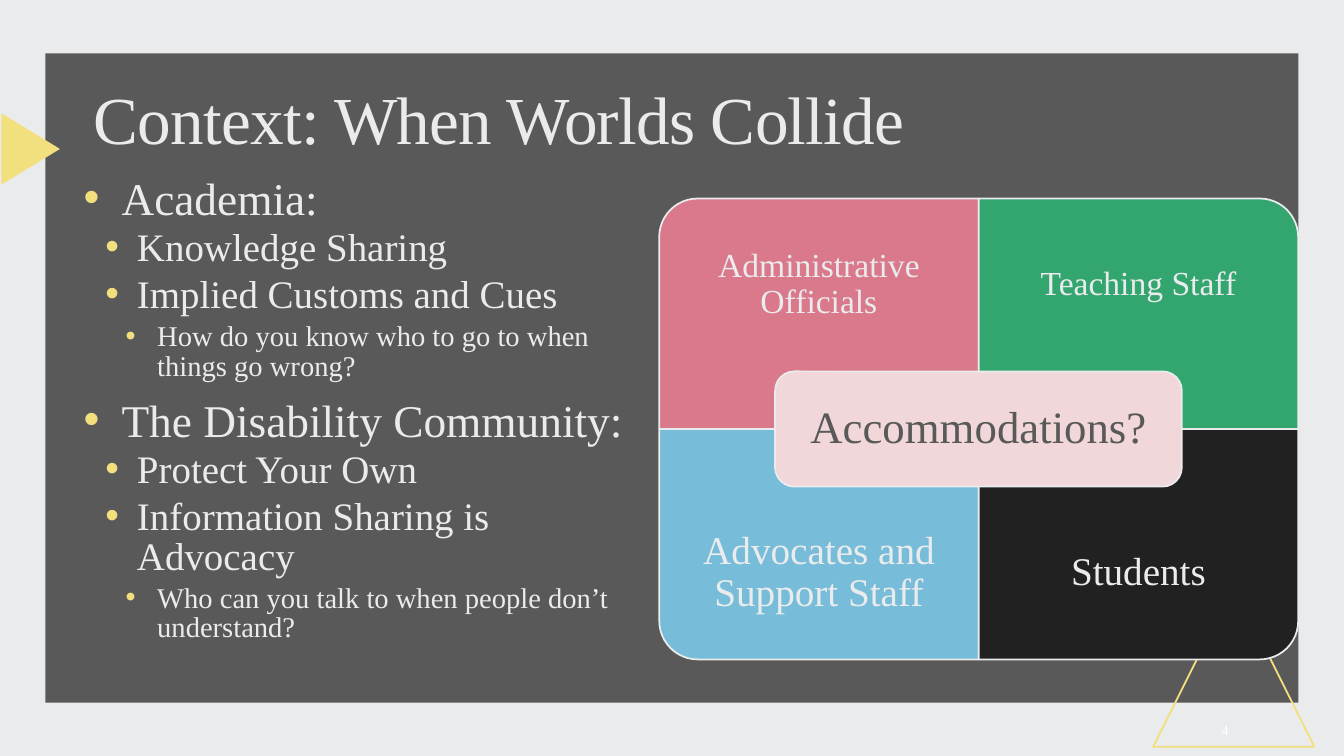
"""Build the slide "Context: When Worlds Collide" with a four-part matrix."""
import lxml.etree
import pptx
import pptx.dml.color
import pptx.enum.shapes
import pptx.enum.text
import pptx.oxml.ns
import pptx.util

Pt = pptx.util.Pt
SHAPES = pptx.enum.shapes.MSO_SHAPE
ALIGN = pptx.enum.text.PP_ALIGN
MIDDLE = pptx.enum.text.MSO_ANCHOR.MIDDLE
FONT = "Times New Roman"
LIGHT, GREY, YELLOW = "EAEBEC", "595959", "F2DF7E"

deck = pptx.Presentation()
deck.slide_width, deck.slide_height = Pt(960), Pt(540)
page = deck.slides.add_slide(deck.slide_layouts[6])
color = pptx.dml.color.RGBColor.from_string
page.background.fill.solid()
page.background.fill.fore_color.rgb = color(LIGHT)


def add_shape(kind, left, top, width, height, fill=None, line=None, rotation=0):
    shape = page.shapes.add_shape(kind, Pt(left), Pt(top), Pt(width), Pt(height))
    shape.shadow.inherit = False
    shape.rotation = rotation
    if fill:
        shape.fill.solid()
        shape.fill.fore_color.rgb = color(fill)
    else:
        shape.fill.background()
    if line:
        shape.line.color.rgb = color(line)
        shape.line.width = Pt(1.25)
    else:
        shape.line.fill.background()
    return shape


def add_label(text, left, top, width, height, size, ink=LIGHT, margin=7.2, align=ALIGN.CENTER):
    box = page.shapes.add_textbox(Pt(left), Pt(top), Pt(width), Pt(height))
    frame = box.text_frame
    frame.word_wrap = True
    frame.vertical_anchor = MIDDLE
    frame.margin_left = frame.margin_right = Pt(margin)
    frame.margin_top = frame.margin_bottom = Pt(min(margin, 13.5))
    para = frame.paragraphs[0]
    para.text = text
    para.alignment = align
    para.line_spacing = 0.9
    para.font.name, para.font.size = FONT, Pt(size)
    para.font.color.rgb = color(ink)
    return para


add_shape(SHAPES.RECTANGLE, 32.4, 38.2, 895, 463.7, fill=GREY)
add_shape(SHAPES.ISOSCELES_TRIANGLE, 823.7, 418.3, 115.2, 115.2, line=YELLOW)
add_shape(SHAPES.ISOSCELES_TRIANGLE, -3.6, 85.5, 51, 41.8, fill=YELLOW, rotation=90)

title = add_label("Context: When Worlds Collide", 59.8, 51.8, 823, 72, 48, align=ALIGN.LEFT)
title.runs[0].font._element.set("spc", "-50")

levels = [
    {"left": 27, "hang": 27, "before": 10, "after": 2, "size": 32.4},
    {"left": 38, "hang": 22.5, "before": 2, "after": 3, "size": 27.8},
    {"left": 52.5, "hang": 22.5, "before": 2, "after": 3, "size": 20.4},
]
points = [
    (0, "Academia:"),
    (1, "Knowledge Sharing"),
    (1, "Implied Customs and Cues"),
    (2, "How do you know who to go to when things go wrong?"),
    (0, "The Disability Community:"),
    (1, "Protect Your Own"),
    (1, "Information Sharing is Advocacy"),
    (2, "Who can you talk to when people don’t understand?"),
]
body = page.shapes.add_textbox(Pt(59.8), Pt(123.8), Pt(390.2), Pt(347)).text_frame
body.word_wrap = True
body.margin_left = body.margin_right = 0
for index, (level, text) in enumerate(points):
    style = levels[level]
    para = body.add_paragraph() if index else body.paragraphs[0]
    para.text = text
    para.level = level
    para.line_spacing = 0.85
    para.space_before = Pt(style["before"] if index else 0)
    para.space_after = Pt(style["after"])
    properties = para._p.get_or_add_pPr()
    properties.set("marL", str(Pt(style["left"])))
    properties.set("indent", str(-Pt(style["hang"])))
    bullet_color = lxml.etree.SubElement(properties, pptx.oxml.ns.qn("a:buClr"))
    lxml.etree.SubElement(bullet_color, pptx.oxml.ns.qn("a:srgbClr"), val=YELLOW)
    lxml.etree.SubElement(properties, pptx.oxml.ns.qn("a:buFont"), typeface="Arial")
    lxml.etree.SubElement(properties, pptx.oxml.ns.qn("a:buChar"), char="•")
    para.font.name, para.font.size = FONT, Pt(style["size"])
    para.font.color.rgb = color(LIGHT)

matrix_left, matrix_top, card_width, card_height = 470.9, 141.8, 228.2, 164.6
label_height = card_height * 0.75
cards = [
    ("Administrative Officials", 0, 0, "D9798B", 270, 24, 13.5),
    ("Teaching Staff", 1, 0, "33A670", 0, 24, 13.5),
    ("Advocates and Support Staff", 0, 1, "77BDD9", 180, 28, 16),
    ("Students", 1, 1, "212121", 90, 28, 16),
]
for text, column, row, fill, rotation, size, margin in cards:
    left = matrix_left + column * card_width
    top = matrix_top + row * card_height
    width, height = (card_height, card_width) if rotation % 180 else (card_width, card_height)
    add_shape(SHAPES.ROUND_1_RECTANGLE, left + (card_width - width) / 2,
              top + (card_height - height) / 2, width, height, fill, LIGHT, rotation)
    label_top = top + row * (card_height - label_height)
    add_label(text, left, label_top, card_width, label_height, size, margin=margin)

add_shape(SHAPES.ROUNDED_RECTANGLE, 553.7, 265.3, 290.5, 82.3, "F1D7DA", LIGHT)
add_label("Accommodations?", 558, 269.3, 282, 74.2, 32, GREY, 9.5)
add_label("4", 855, 512, 40, 20, 10, "FFFFFF", 0)

deck.save("out.pptx")
